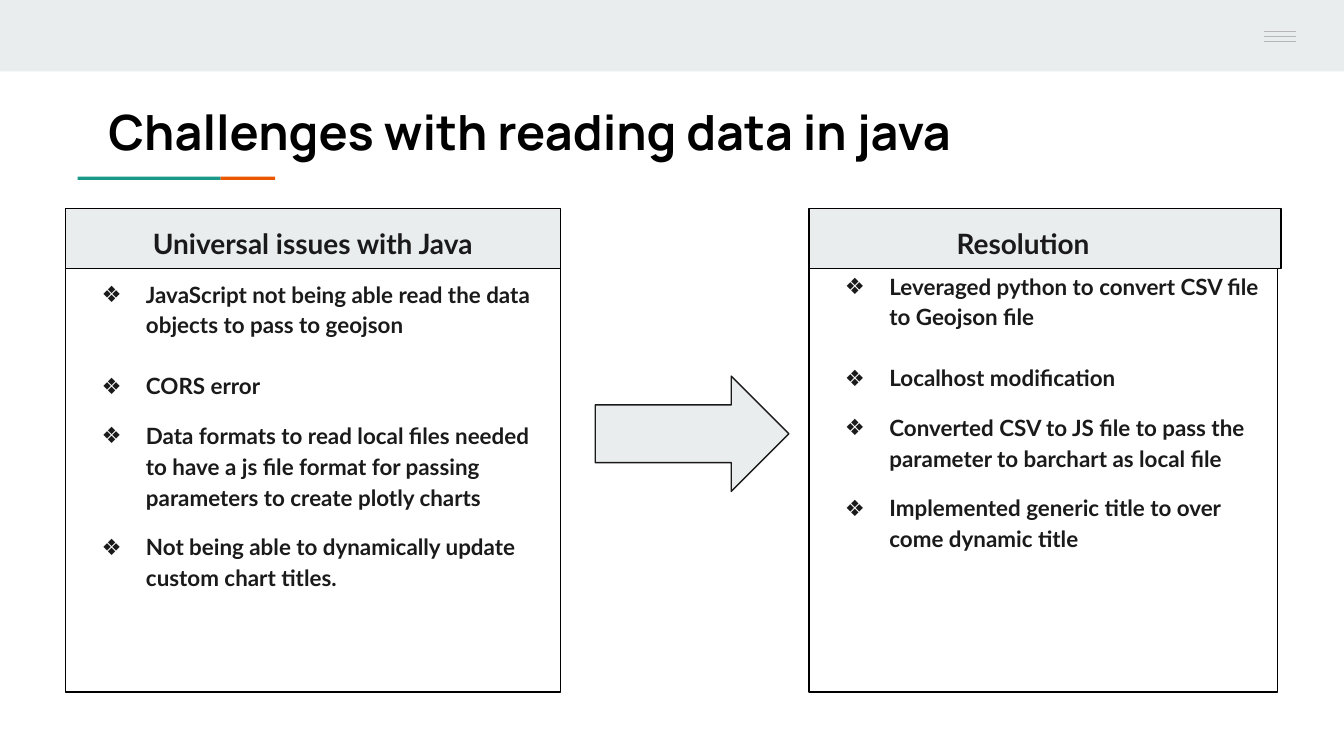
from lxml import etree
from pptx import Presentation
from pptx.dml.color import RGBColor
from pptx.enum import shapes, text
from pptx.oxml import ns
from pptx.util import Cm, Pt

INK = "1A1A1A"
BLACK = "000000"
MIST = "E9EDEE"
TEAL = "1A9988"
ORANGE = "EB5600"
GREY = "B7B7B7"
INDENT = 1.27
HANGING = -0.84


def color(value):
    return RGBColor.from_string(value)


def add_block(page, box, fill=None, line=None, kind=shapes.MSO_SHAPE.RECTANGLE):
    block = page.shapes.add_shape(kind, *map(Cm, box))
    block.shadow.inherit = False
    if fill:
        block.fill.solid()
        block.fill.fore_color.rgb = color(fill)
    else:
        block.fill.background()
    if line:
        block.line.color.rgb = color(line)
        block.line.width = Pt(0.75)
    else:
        block.line.fill.background()
    return block


def prepare_frame(shape):
    frame = shape.text_frame
    frame.word_wrap = True
    frame.vertical_anchor = text.MSO_ANCHOR.TOP
    frame.margin_left = frame.margin_right = Cm(0.25)
    frame.margin_top = frame.margin_bottom = Cm(0.25)
    return frame


def add_bullet(properties):
    tint = etree.SubElement(properties, ns.qn("a:buClr"))
    etree.SubElement(tint, ns.qn("a:srgbClr"), val=INK)
    etree.SubElement(properties, ns.qn("a:buFont"), typeface="Lato")
    etree.SubElement(properties, ns.qn("a:buChar"), char="❖")


def write(para, words, size=12, font="Lato", ink=INK, align=text.PP_ALIGN.LEFT,
          spacing=1.15, before=0, left=0, first=0, bullet=False):
    properties = para._p.get_or_add_pPr()
    properties.set("marL", str(Cm(left)))
    properties.set("indent", str(Cm(first)))
    if bullet:
        add_bullet(properties)
    para.alignment = align
    para.line_spacing = spacing
    para.space_before = Pt(before)
    span = para.add_run()
    span.text = words
    span.font.name = font
    span.font.size = Pt(size)
    span.font.bold = True
    span.font.color.rgb = color(ink)


def add_menu(page, box):
    left, top, width, height = box
    for row in range(3):
        y = Cm(top + row * height / 2)
        line = page.shapes.add_connector(
            shapes.MSO_CONNECTOR.STRAIGHT, Cm(left), y, Cm(left + width), y)
        line.line.color.rgb = color(GREY)
        line.line.width = Pt(0.75)
        etree.SubElement(line._element.spPr, ns.qn("a:effectLst"))


def add_banner(page, box):
    left, top, width, height = box
    add_block(page, box, MIST)
    add_menu(page, (left + width - 1.52, top + 0.59, 0.61, 0.2))


def add_title(page, box, words):
    left, top, width, height = box
    title = page.shapes.add_textbox(*map(Cm, box))
    write(prepare_frame(title).paragraphs[0], words, size=26, font="Manrope",
          ink=BLACK, spacing=1)
    rule_left, rule_top = left - 0.33, top + 1.66
    add_block(page, (rule_left, rule_top, 2.7, 0.06), TEAL)
    add_block(page, (rule_left + 2.7, rule_top, 1.03, 0.06), ORANGE)


def add_panel(page, box, heading, points, body_top, header_width, **heading_format):
    left, top, width, height = box
    body = add_block(page, (left, top + body_top, width, height - body_top), line=BLACK)
    frame = prepare_frame(body)
    for number, point in enumerate(points):
        para = frame.add_paragraph() if number else frame.paragraphs[0]
        write(para, point, before=(0, 16, 10, 10)[number],
              left=INDENT, first=HANGING, bullet=True)
    header = add_block(page, (left, top, header_width, 1.14), MIST, BLACK)
    write(prepare_frame(header).paragraphs[0], heading, size=15, **heading_format)


def main():
    deck = Presentation()
    deck.slide_width, deck.slide_height = Cm(25.4), Cm(14.29)
    page = deck.slides.add_slide(deck.slide_layouts[6])
    add_banner(page, (0, 0, 25.4, 1.35))
    add_title(page, (1.8, 1.68, 18.44, 1.75), "Challenges with reading data in java")
    add_panel(page, (1.24, 3.94, 9.35, 9.14), "Universal issues with Java", [
        "JavaScript not being able read the data objects to pass to geojson",
        "CORS error",
        "Data formats to read local files needed to have a js file format for "
        "passing parameters to create plotly charts",
        "Not being able to dynamically update custom chart titles.",
    ], body_top=1.04, header_width=9.35, align=text.PP_ALIGN.CENTER)
    add_block(page, (11.25, 7.11, 3.66, 2.18), MIST, INK,
              shapes.MSO_SHAPE.RIGHT_ARROW)
    add_panel(page, (15.29, 3.94, 8.86, 9.14), "Resolution", [
        "Leveraged python to convert CSV file to Geojson file",
        "Localhost modification",
        "Converted CSV to JS file to pass the parameter to barchart as local file",
        "Implemented generic title to over come dynamic title",
    ], body_top=0.89, header_width=8.92, left=INDENT, first=INDENT)
    deck.save("out.pptx")


if __name__ == "__main__":
    main()
